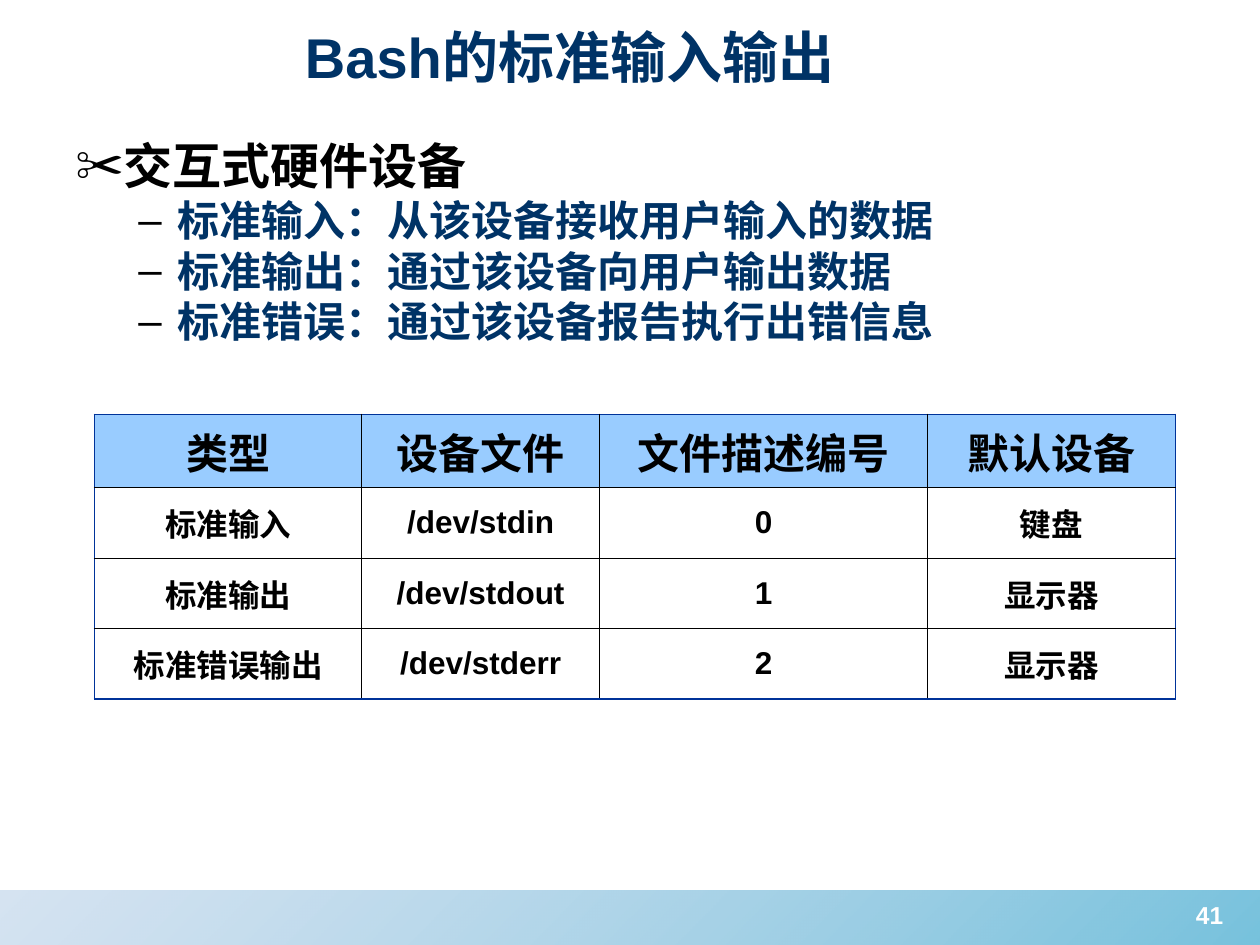
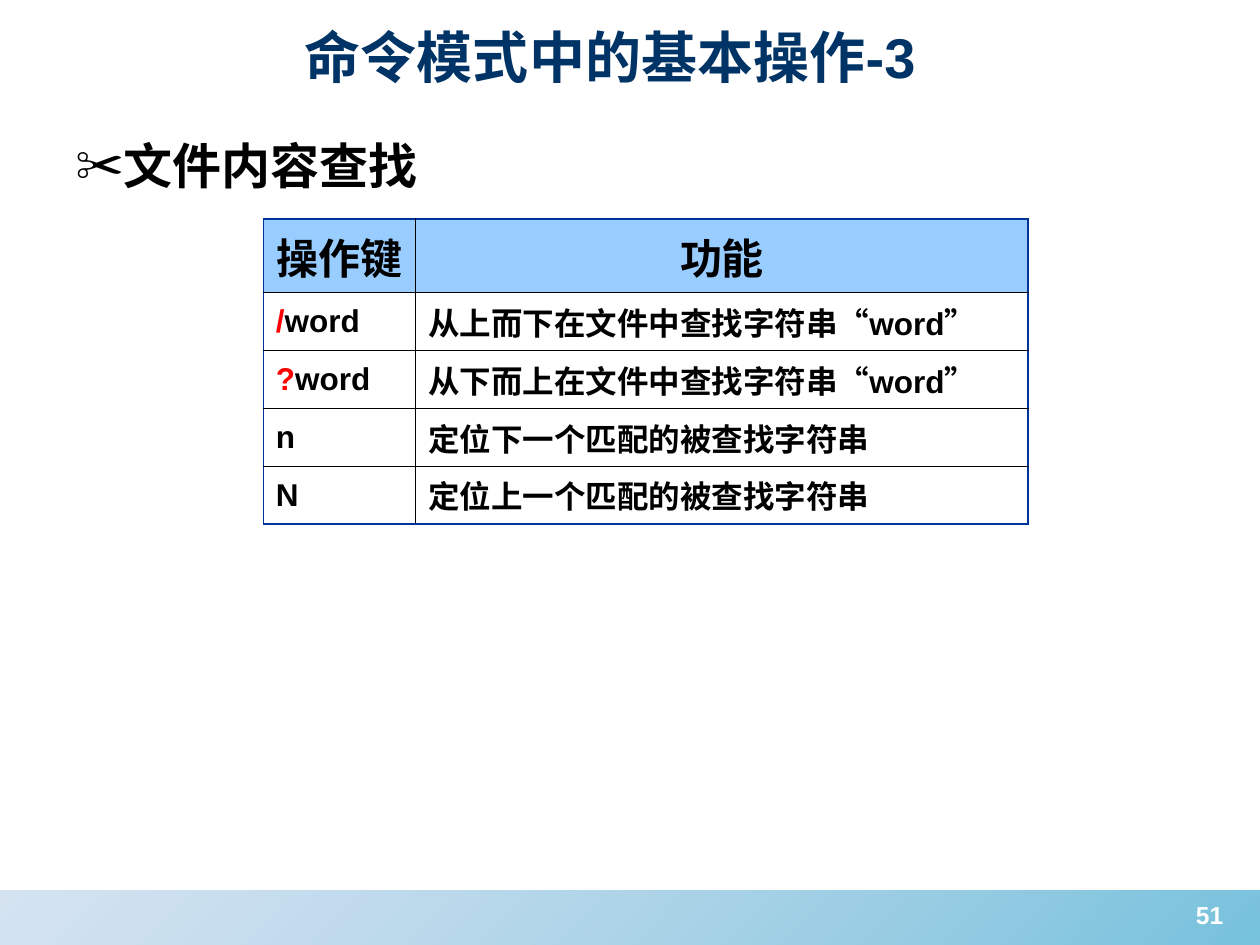
from pptx import Presentation
from pptx.dml.color import RGBColor
from pptx.enum.shapes import MSO_SHAPE as SHAPE
from pptx.enum.text import MSO_ANCHOR as ANCHOR, MSO_AUTO_SIZE as FIT, PP_ALIGN as ALIGN
from pptx.oxml import parse_xml
from pptx.oxml.ns import nsdecls, qn
from pptx.util import Inches, Pt

# Shared look
FONT = "Arial"
BLACK = RGBColor(0x00, 0x00, 0x00)
WHITE = RGBColor(0xFF, 0xFF, 0xFF)
NAVY = RGBColor(0x00, 0x33, 0x66)
RED = RGBColor(0xFF, 0x00, 0x00)
HEAD = RGBColor(0x99, 0xCC, 0xFF)
FRAME = RGBColor(0x00, 0x33, 0x99)
BAND = [(RGBColor(0x88, 0xB0, 0xD8), 35), (RGBColor(0x1C, 0x99, 0xC6), 60)]
THIN, THICK = 0.45, 1.08

# Bullet levels: mark, left margin, hanging indent, size, colour
LEVELS = [("✂", 0.38, 0.38, 28, BLACK), ("–", 0.81, 0.31, 24, NAVY)]


def xml(text):
    return parse_xml(text.replace(">", f" {nsdecls('a')}>", 1))


def style(run, size, color):
    font = run.font
    font.name, font.size, font.bold = FONT, Pt(size), True
    font.color.rgb = color


def cast(run):
    """Give the letters a soft grey shadow."""
    fill = run.font._element.find(qn("a:solidFill"))
    fill.addnext(xml(
        '<a:effectLst><a:outerShdw dist="25400" dir="2700000">'
        '<a:srgbClr val="C0C0C0"/></a:outerShdw></a:effectLst>'))


def add_band(slide):
    band = slide.shapes.add_shape(
        SHAPE.RECTANGLE, 0, Inches(7.07), Inches(10), Inches(0.43))
    band.shadow.inherit = False
    band.line.fill.background()
    band.fill.gradient()
    band.fill.gradient_angle = 315
    for stop, (color, alpha) in zip(band.fill.gradient_stops, BAND):
        stop.color.rgb = color
    marks = band._element.spPr.iter(qn("a:srgbClr"))
    for mark, (color, alpha) in zip(marks, BAND):
        mark.append(xml(f'<a:alpha val="{alpha * 1000}"></a:alpha>'))


def add_number(slide, number):
    box = slide.shapes.add_textbox(
        Inches(9.24), Inches(7.09), Inches(0.72), Inches(0.52))
    frame = box.text_frame
    frame.word_wrap = True
    frame.text = str(number)
    frame.paragraphs[0].alignment = ALIGN.CENTER
    style(frame.paragraphs[0].runs[0], 14, WHITE)


def set_title(slide, text):
    title = slide.shapes.title
    title.left, title.top = Inches(2.32), Inches(0.13)
    title.width, title.height = Inches(6.93), Inches(0.63)
    frame = title.text_frame
    frame.text = text
    frame.vertical_anchor = ANCHOR.MIDDLE
    frame.auto_size = FIT.SHAPE_TO_FIT_TEXT
    frame.paragraphs[0].alignment = ALIGN.LEFT
    style(frame.paragraphs[0].runs[0], 32, NAVY)


def add_list(slide, items):
    box = slide.shapes.add_textbox(
        Inches(0.5), Inches(1.03), Inches(9.23), Inches(5.95))
    frame = box.text_frame
    frame.word_wrap = True
    for i, (level, text) in enumerate(items):
        para = frame.add_paragraph() if i else frame.paragraphs[0]
        mark, left, hang, size, color = LEVELS[level]
        para.text = text
        para.level = level
        props = para._p.get_or_add_pPr()
        props.set("marL", str(Inches(left)))
        props.set("indent", str(-Inches(hang)))
        props.append(xml(f'<a:buClr><a:srgbClr val="{BLACK}"/></a:buClr>'))
        props.append(xml(f'<a:buFont typeface="{FONT}"></a:buFont>'))
        props.append(xml(f'<a:buChar char="{mark}"></a:buChar>'))
        style(para.runs[0], size, color)
        cast(para.runs[0])


def set_edges(cell, outer):
    """Draw the sides of a cell, thick and blue on the table's rim."""
    props = cell._tc.get_or_add_tcPr()
    for i, side in enumerate("LRTB"):
        color, width = (FRAME, THICK) if side in outer else (BLACK, THIN)
        props.insert(i, xml(
            f'<a:ln{side} w="{Pt(width)}"><a:solidFill>'
            f'<a:srgbClr val="{color}"/></a:solidFill></a:ln{side}>'))


def fill_cell(cell, value, size, align, anchor):
    """A pair as value is a red key mark followed by black text."""
    parts = value if isinstance(value, tuple) else (value,)
    para = cell.text_frame.paragraphs[0]
    para.text = parts[0]
    for part in parts[1:]:
        para.add_run().text = part
    para.alignment = align
    cell.vertical_anchor = anchor
    for i, run in enumerate(para.runs):
        style(run, size, RED if i < len(parts) - 1 else BLACK)


def add_grid(slide, left, top, widths, heights, rows, align, anchors, crown):
    """anchors holds one entry per column; crown anchors the head row."""
    grid = slide.shapes.add_table(
        len(rows), len(widths), Inches(left), Inches(top),
        Inches(sum(widths)), Inches(sum(heights))).table
    grid.first_row = grid.horz_banding = False
    for col, width in zip(grid.columns, widths):
        col.width = Inches(width)
    for r, (row, height) in enumerate(zip(rows, heights)):
        grid.rows[r].height = Inches(height)
        for c, value in enumerate(row):
            cell = grid.cell(r, c)
            if r == 0:
                fill_cell(cell, value, 24, ALIGN.CENTER, crown)
                cell.fill.solid()
                cell.fill.fore_color.rgb = HEAD
            else:
                fill_cell(cell, value, 18, align, anchors[c])
                cell.fill.background()
            rim = {"L": c == 0, "R": c == len(widths) - 1,
                   "T": r == 0, "B": r == len(rows) - 1}
            set_edges(cell, [side for side in rim if rim[side]])


def add_page(deck, number, title, items):
    slide = deck.slides.add_slide(deck.slide_layouts[5])
    add_band(slide)
    add_number(slide, number)
    set_title(slide, title)
    add_list(slide, items)
    return slide


def main():
    deck = Presentation()
    deck.slide_width, deck.slide_height = Inches(10), Inches(7.5)

    # Standard streams
    page = add_page(deck, 41, "Bash的标准输入输出", [
        (0, "交互式硬件设备"),
        (1, "标准输入：从该设备接收用户输入的数据"),
        (1, "标准输出：通过该设备向用户输出数据"),
        (1, "标准错误：通过该设备报告执行出错信息"),
    ])
    add_grid(page, 0.75, 3.29, [2.12, 1.89, 2.6, 1.97], [0.58] + [0.56] * 3, [
        ("类型", "设备文件", "文件描述编号", "默认设备"),
        ("标准输入", "/dev/stdin", "0", "键盘"),
        ("标准输出", "/dev/stdout", "1", "显示器"),
        ("标准错误输出", "/dev/stderr", "2", "显示器"),
    ], ALIGN.CENTER, [ANCHOR.MIDDLE] * 4, ANCHOR.TOP)

    # Search keys
    page = add_page(deck, 51, "命令模式中的基本操作-3", [(0, "文件内容查找")])
    add_grid(page, 2.09, 1.74, [1.21, 4.86], [0.58] + [0.46] * 4, [
        ("操作键", "功能"),
        (("/", "word"), "从上而下在文件中查找字符串“word”"),
        (("?", "word"), "从下而上在文件中查找字符串“word”"),
        ("n", "定位下一个匹配的被查找字符串"),
        ("N", "定位上一个匹配的被查找字符串"),
    ], ALIGN.LEFT, [ANCHOR.MIDDLE, ANCHOR.BOTTOM], ANCHOR.BOTTOM)

    deck.save("out.pptx")


if __name__ == "__main__":
    main()
